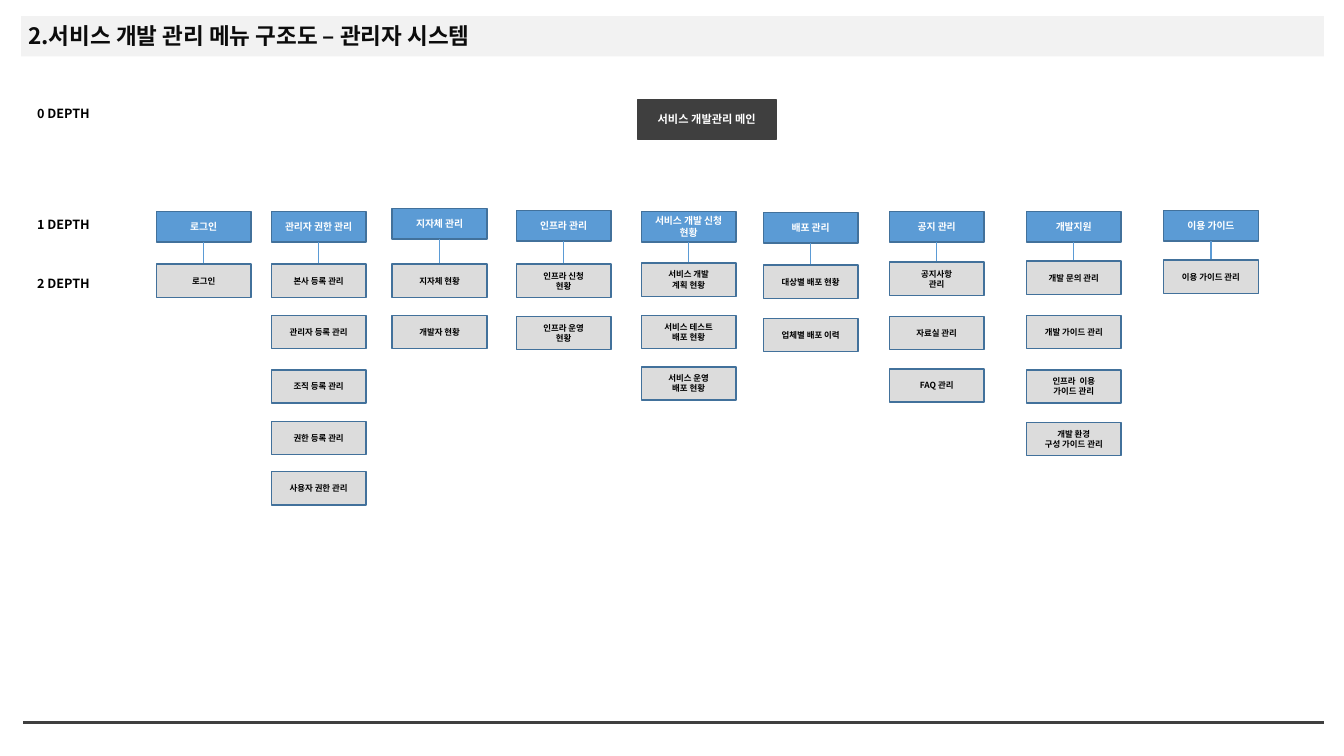
import pptx
import pptx.dml.color
import pptx.enum.shapes
import pptx.enum.text
import pptx.oxml.ns
import pptx.util
from lxml import etree

Inches = pptx.util.Inches
ALIGN = pptx.enum.text.PP_ALIGN
ANCHOR = pptx.enum.text.MSO_ANCHOR
FONT = "Noto Sans CJK KR"
BOX_WIDTH = 0.94
MENU_HEIGHT = 0.3
PAGE_HEIGHT = 0.33

DEPTH_LABELS = [("0 DEPTH", 0.95), ("1 DEPTH", 2.05), ("2 DEPTH", 2.64)]

MENUS = [
    (1.55, 2.1, "로그인", [(2.62, "로그인")]),
    (2.69, 2.1, "관리자 권한 관리", [
        (2.62, "본사 등록 관리"), (3.13, "관리자 등록 관리"), (3.67, "조직 등록 관리"),
        (4.18, "권한 등록 관리"), (4.68, "사용자 권한 관리")]),
    (3.89, 2.07, "지자체 관리", [(2.62, "지자체 현황"), (3.13, "개발자 현황")]),
    (5.12, 2.09, "인프라 관리", [(2.62, "인프라 신청\n현황"), (3.14, "인프라 운영\n현황")]),
    (6.36, 2.1, "서비스 개발 신청\n현황", [
        (2.61, "서비스 개발\n계획 현황"), (3.13, "서비스 테스트\n배포 현황"),
        (3.64, "서비스 운영\n배포 현황")]),
    (7.57, 2.11, "배포 관리", [(2.63, "대상별 배포 현황"), (3.16, "업체별 배포 이력")]),
    (8.82, 2.1, "공지 관리", [
        (2.6, "공지사항\n관리"), (3.14, "자료실 관리"), (3.66, "FAQ 관리")]),
    (10.18, 2.1, "개발지원", [
        (2.59, "개발 문의 관리"), (3.13, "개발 가이드 관리"),
        (3.67, "인프라  이용\n가이드 관리"), (4.19, "개발 환경\n구성 가이드 관리")]),
    (11.54, 2.09, "이용 가이드", [(2.58, "이용 가이드 관리")]),
]


def color(value):
    return pptx.dml.color.RGBColor.from_string(value)


def write_text(shape, text, size=9, ink="000000", align=ALIGN.LEFT,
               anchor=ANCHOR.MIDDLE, inset=0.05, line_spacing=None):
    frame = shape.text_frame
    frame.auto_size = pptx.enum.text.MSO_AUTO_SIZE.NONE
    frame.word_wrap = True
    frame.vertical_anchor = anchor
    frame.margin_left = frame.margin_right = Inches(inset)
    frame.margin_top = frame.margin_bottom = Inches(inset)
    frame.text = text
    for paragraph in frame.paragraphs:
        paragraph.alignment = align
        paragraph.line_spacing = line_spacing
        for run in paragraph.runs:
            run.font.size = pptx.util.Pt(size)
            run.font.bold = True
            run.font.color.rgb = color(ink)
            run.font.name = FONT
            properties = run.font._element
            east_asian = etree.SubElement(properties, pptx.oxml.ns.qn("a:ea"))
            east_asian.set("typeface", FONT)


def add_box(slide, left, top, width, height, fill, outline=None):
    box = slide.shapes.add_shape(
        pptx.enum.shapes.MSO_SHAPE.RECTANGLE,
        Inches(left), Inches(top), Inches(width), Inches(height))
    box.shadow.inherit = False
    box.fill.solid()
    box.fill.fore_color.rgb = color(fill)
    if outline:
        box.line.color.rgb = color(outline)
        box.line.width = pptx.util.Pt(1)
    else:
        box.line.fill.background()
    return box


def add_line(slide, start, end, ink, weight):
    line = slide.shapes.add_connector(
        pptx.enum.shapes.MSO_CONNECTOR.STRAIGHT,
        *[Inches(length) for length in start + end])
    line.line.color.rgb = color(ink)
    line.line.width = pptx.util.Pt(weight)
    etree.SubElement(line.element.spPr, pptx.oxml.ns.qn("a:effectLst"))
    return line


def add_header(slide, left, top, width, height):
    bar = add_box(slide, left, top, width, height, "F2F2F2")
    title = slide.shapes.title
    title.element.addprevious(bar.element)
    title.left, title.top = Inches(left + 0.02), Inches(top + 0.02)
    title.width, title.height = Inches(9.49), Inches(height - 0.02)
    write_text(title, "2.서비스 개발 관리 메뉴 구조도 – 관리자 시스템",
               size=16.1, ink="0C0C0C", line_spacing=0.9)


def add_depth_labels(slide, left, width, height):
    for text, top in DEPTH_LABELS:
        label = slide.shapes.add_textbox(
            Inches(left), Inches(top), Inches(width), Inches(height))
        write_text(label, text, anchor=ANCHOR.TOP, inset=0.1)


def add_main(slide, left, top, width, height):
    main_box = add_box(slide, left, top, width, height, "3F3F3F", "3F3F3F")
    write_text(main_box, "서비스 개발관리 메인", size=8, ink="FFFFFF", align=ALIGN.CENTER)


def add_menu(slide, left, top, name, pages):
    menu_box = add_box(slide, left, top, BOX_WIDTH, MENU_HEIGHT, "5B9BD5", "42719B")
    write_text(menu_box, name, size=7, ink="FFFFFF", align=ALIGN.CENTER)
    middle = left + BOX_WIDTH / 2
    link = add_line(slide, (middle, top + MENU_HEIGHT), (middle, pages[0][0]), "5B9BD5", 1)
    page_boxes = []
    for page_top, text in pages:
        page_box = add_box(slide, left, page_top, BOX_WIDTH, PAGE_HEIGHT, "DCDCDC", "42719B")
        write_text(page_box, text, size=6, align=ALIGN.CENTER)
        page_boxes.append(page_box)
    link.begin_connect(menu_box, 2)
    link.end_connect(page_boxes[0], 0)


def main():
    presentation = pptx.Presentation()
    presentation.slide_width = Inches(13.33)
    presentation.slide_height = Inches(7.5)
    slide = presentation.slides.add_slide(presentation.slide_layouts[5])
    add_header(slide, 0.21, 0.16, 12.92, 0.4)
    add_line(slide, (0.23, 7.17), (13.13, 7.17), "3F3F3F", 2.25)
    add_depth_labels(slide, 0.27, 1.23, 0.35)
    add_main(slide, 6.32, 0.99, 1.38, 0.39)
    for menu in MENUS:
        add_menu(slide, *menu)
    presentation.save("out.pptx")


if __name__ == "__main__":
    main()
